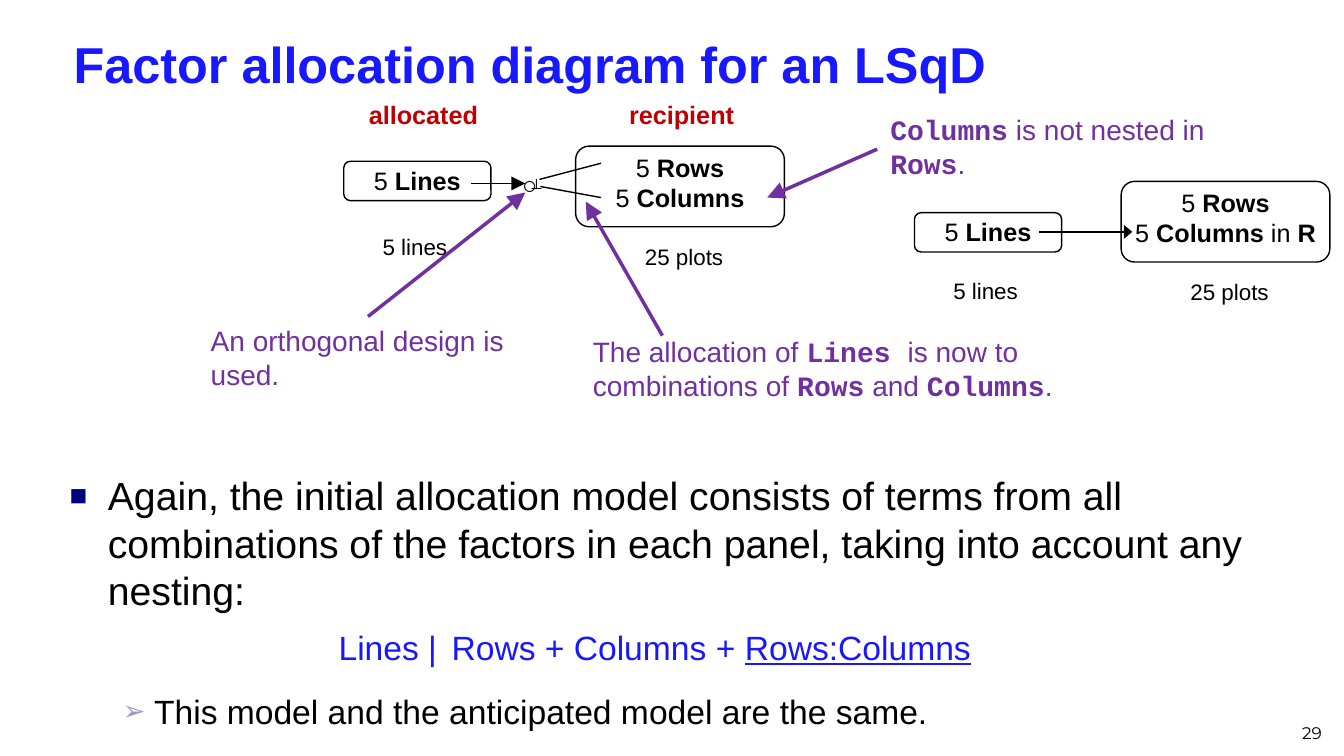
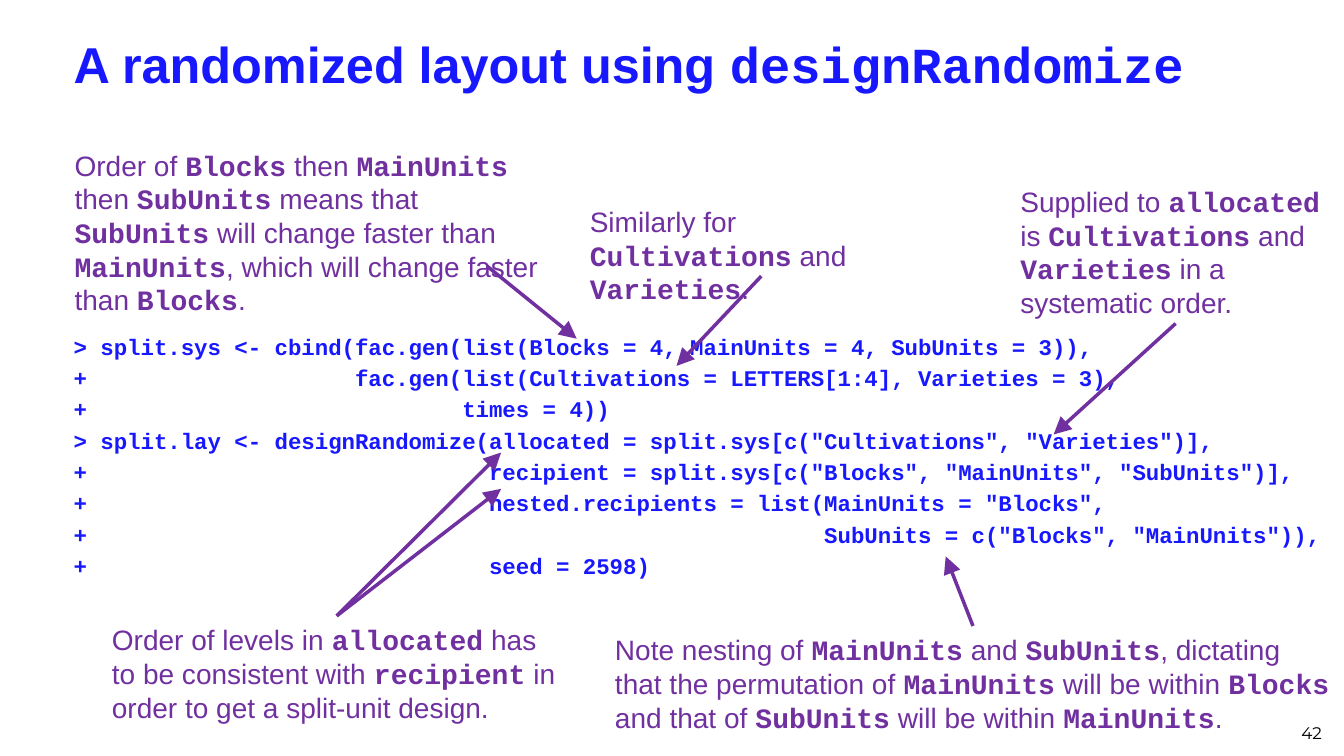
from lxml.etree import SubElement
from pptx import Presentation
from pptx.dml.color import RGBColor
from pptx.enum.shapes import MSO_CONNECTOR as Connector, MSO_SHAPE as Preset
from pptx.enum.text import MSO_ANCHOR as Anchor, MSO_AUTO_SIZE as AutoSize, PP_ALIGN as Align
from pptx.oxml.ns import qn
from pptx.util import Inches, Pt

COLORS = {"heading": "1818FF", "text": "000000", "note": "7030A0", "label": "C00000",
          "bullet": "00007D", "sub_bullet": "9999CC"}
SANS, MONO, NUMBER = "Arial", "Courier New", "Montserrat"
CODE_WORD = {"font": MONO, "bold": True}
BOLD_WORD = {"bold": True}
NOTE_INSETS = (0.13, 0.07)
PANEL_INSETS = (0.01, 0.02)
CODE_SIZE = 16


def add_run(paragraph, text, size, color="text", font=SANS, bold=False, underline=False):
    """Add one formatted run."""
    run = paragraph.add_run()
    run.text = text
    run.font.size = Pt(size)
    run.font.name = font
    run.font.bold = bold
    run.font.color.rgb = RGBColor.from_string(COLORS[color])
    if underline:
        run.font.underline = True


def add_runs(paragraph, text, emphasis=None, **style):
    """Add text whose backquoted parts take the emphasis style."""
    for index, part in enumerate(text.split("`")):
        if part:
            add_run(paragraph, part, **{**style, **(emphasis if index % 2 else {})})


def set_frame(shape, insets=(0.1, 0.05), anchor=Anchor.TOP, wrap=True):
    """Set the margins, anchor and wrapping of a shape's text."""
    frame = shape.text_frame
    frame.auto_size = AutoSize.NONE
    frame.word_wrap = wrap
    frame.vertical_anchor = anchor
    frame.margin_left = frame.margin_right = Inches(insets[0])
    frame.margin_top = frame.margin_bottom = Inches(insets[1])
    return frame


def place(shape, left, top, width, height):
    """Move a placeholder to a box."""
    shape.left, shape.top = Inches(left), Inches(top)
    shape.width, shape.height = Inches(width), Inches(height)
    return shape


def add_text(slide, box, text, size, align=Align.LEFT, emphasis=None,
             color="text", font=SANS, bold=False, **frame_style):
    """Add a one-paragraph text box and return its paragraph."""
    shape = slide.shapes.add_textbox(*map(Inches, box))
    paragraph = set_frame(shape, **frame_style).paragraphs[0]
    paragraph.alignment = align
    add_runs(paragraph, text, emphasis, size=size, color=color, font=font, bold=bold)
    return paragraph


def add_line(slide, start, end, color="text", width=1, head="lg"):
    """Draw a straight line, with an arrowhead of the given length unless it is None."""
    connector = slide.shapes.add_connector(
        Connector.STRAIGHT, *map(Inches, (*start, *end)))
    connector.line.color.rgb = RGBColor.from_string(COLORS[color])
    connector.line.width = Pt(width)
    properties = connector.element.spPr
    if head:
        SubElement(properties.find(qn("a:ln")), qn("a:tailEnd"),
                   {"type": "triangle", "w": "lg", "len": head})
    SubElement(properties, qn("a:effectLst"))


def set_indent(paragraph, margin=0, hanging=0):
    """Set the left margin and hanging indent; return the paragraph properties."""
    properties = paragraph._p.get_or_add_pPr()
    properties.set("marL", str(Inches(margin)))
    properties.set("indent", str(-Inches(hanging)))
    return properties


def set_bullet(paragraph, character, color, percent, margin, hanging):
    """Give a paragraph a coloured bullet."""
    properties = set_indent(paragraph, margin, hanging)
    SubElement(SubElement(properties, qn("a:buClr")), qn("a:srgbClr"), val=COLORS[color])
    SubElement(properties, qn("a:buSzPct"), val=str(percent * 1000))
    SubElement(properties, qn("a:buFont"), typeface=SANS)
    SubElement(properties, qn("a:buChar"), char=character)


def add_base(presentation, title, number):
    """Add a slide with its title and number; return it and its body placeholder."""
    slide = presentation.slides.add_slide(presentation.slide_layouts[1])
    heading = place(slide.shapes.title, 0.63, 0.23, 12.6, 0.79)
    paragraph = set_frame(heading, anchor=Anchor.MIDDLE).paragraphs[0]
    paragraph.alignment = Align.LEFT
    add_runs(paragraph, title, CODE_WORD, size=36, color="heading", bold=True)
    add_text(slide, (10.1, 6.92, 3.11, 0.5), number, 12, Align.RIGHT,
             font=NUMBER, anchor=Anchor.BOTTOM)
    return slide, slide.placeholders[1]


def add_note(slide, box, text, *arrows):
    """Add a purple remark and its arrows, each a start and an end point."""
    add_text(slide, box, text, 20, emphasis=CODE_WORD, color="note", insets=NOTE_INSETS)
    for start, end in arrows:
        add_line(slide, start, end, "note", 2.5)


def add_panel(slide, box, factors, caption, caption_box):
    """Add a rounded panel of factors; caption_box is relative to its corner."""
    left, top, width, height = box
    panel = slide.shapes.add_shape(Preset.ROUNDED_RECTANGLE, *map(Inches, box))
    panel.shadow.inherit = False
    panel.fill.background()
    panel.line.color.rgb = RGBColor.from_string(COLORS["text"])
    panel.line.width = Pt(1)
    frame = set_frame(panel, PANEL_INSETS)
    for index, factor in enumerate(factors):
        paragraph = frame.add_paragraph() if index else frame.paragraphs[0]
        paragraph.alignment = Align.CENTER
        add_runs(paragraph, factor, BOLD_WORD, size=18)
    shift, drop, caption_width = caption_box
    add_text(slide, (left + shift, top + drop, caption_width, 0.37),
             caption, 16, Align.CENTER)


def add_lines_panel(slide, left, top, drop):
    """Add the panel of the allocated factor."""
    add_panel(slide, (left, top, 1.46, 0.39), ["5 `Lines`"], "5 lines", (0.15, drop, 1.11))


def add_plots_panel(slide, left, top, columns):
    """Add the panel of the recipient factors."""
    add_panel(slide, (left, top, 2.07, 0.8), ["5 `Rows`", columns],
              "25 plots", (0.25, 0.91, 1.65))


def add_orthogonal_diagram(slide, left, top):
    """Draw the diagram with the orthogonal symbol between its panels."""
    for shift, width, label in ((0.06, 1.46, "allocated"), (2.71, 1.28, "recipient")):
        add_text(slide, (left + shift, top, width, 0.4), label, 18,
                 Align.CENTER, color="label", bold=True)
    add_lines_panel(slide, left, top + 0.66, 0.66)
    add_plots_panel(slide, left + 2.3, top + 0.51, "5 `Columns`")
    add_text(slide, (left + 1.67, top + 0.69, 0.42, 0.4), "○", 18, wrap=False)
    add_text(slide, (left + 1.73, top + 0.72, 0.31, 0.3), "⊥", 12)
    add_line(slide, (left + 1.26, top + 0.88), (left + 1.8, top + 0.88))
    add_line(slide, (left + 1.94, top + 0.84), (left + 2.55, top + 0.68), head=None)
    add_line(slide, (left + 1.95, top + 0.91), (left + 2.55, top + 1.02), head=None)


def add_nested_diagram(slide, left, top):
    """Draw the diagram in which columns are nested in rows."""
    add_plots_panel(slide, left + 2.05, top, "5 `Columns` in `R`")
    add_lines_panel(slide, left, top + 0.31, 0.59)
    add_line(slide, (left + 1.24, top + 0.5), (left + 2.16, top + 0.5), head="med")


def add_model(slide, left, top):
    """Write the allocation model and the remark below it."""
    add_text(slide, (left, top, 1.38, 0.5), "Lines |", 24, color="heading")
    add_text(slide, (left + 1.12, top, 6.49, 0.5), "Rows + Columns + `Rows:Columns`", 24,
             emphasis={"underline": True}, color="heading")
    remark = add_text(slide, (0.62, top + 0.64, 12.71, 0.53),
                      "This model and the anticipated model are the same.", 24)
    remark.level = 1
    remark.space_before = Pt(4.8)
    set_bullet(remark, "➢", "sub_bullet", 80, 0.81, 0.31)


def add_code(body, lines):
    """Fill the body with code; each line is a prompt, a start column and its text."""
    frame = set_frame(body)
    for index, (prompt, column, code) in enumerate(lines):
        paragraph = frame.add_paragraph() if index else frame.paragraphs[0]
        paragraph.level = 1
        paragraph.space_before = Pt(CODE_SIZE * 0.2)
        SubElement(set_indent(paragraph), qn("a:buNone"))
        add_run(paragraph, prompt.ljust(column) + code, CODE_SIZE, "heading", MONO, True)


def build_allocation_slide(presentation):
    """Build the slide with the factor allocation diagrams."""
    slide, body = add_base(presentation, "Factor allocation diagram for an LSqD", "29")
    paragraph = set_frame(place(body, 0.59, 4.63, 12.6, 1.57)).paragraphs[0]
    paragraph.space_before = Pt(5.6)
    set_bullet(paragraph, "■", "bullet", 75, 0.38, 0.38)
    add_run(paragraph, "Again, the initial allocation model consists of terms from all "
            "combinations of the factors in each panel, taking into account any nesting:", 28)
    add_orthogonal_diagram(slide, 3.41, 0.94)
    add_nested_diagram(slide, 9.07, 1.8)
    add_note(slide, (8.7, 1.05, 3.39, 0.86), "`Columns` is not nested in `Rows`.",
             ((8.7, 1.48), (7.61, 1.96)))
    add_note(slide, (5.75, 3.25, 5.02, 0.86),
             "The allocation of `Lines `is now to combinations of `Rows` and `Columns`.",
             ((6.57, 3.33), (5.81, 2)))
    add_note(slide, (1.96, 3.14, 3.39, 0.86), "An orthogonal design is used.",
             ((3.65, 3.14), (5.21, 1.91)))
    add_model(slide, 3.26, 6.17)


def build_layout_slide(presentation):
    """Build the slide with the annotated code."""
    slide, body = add_base(
        presentation, "A randomized layout using `designRandomize`", "42")
    add_code(place(body, 0.63, 3.25, 12.7, 2.7), [
        (">", 2, "split.sys <- cbind(fac.gen(list(Blocks = 4, MainUnits = 4, SubUnits = 3)),"),
        ("+", 21, "fac.gen(list(Cultivations = LETTERS[1:4], Varieties = 3),"),
        ("+", 29, "times = 4))"),
        (">", 2, "split.lay <- designRandomize("
                 'allocated = split.sys[c("Cultivations", "Varieties")],'),
        ("+", 31, 'recipient = split.sys[c("Blocks", "MainUnits", "SubUnits")],'),
        ("+", 31, 'nested.recipients = list(MainUnits = "Blocks",'),
        ("+", 56, 'SubUnits = c("Blocks", "MainUnits")),'),
        ("+", 31, "seed = 2598)"),
    ])
    add_note(slide, (0.61, 1.4, 5.08, 1.49),
             "Order of `Blocks` then `MainUnits` then `SubUnits` means that `SubUnits` will "
             "change faster than `MainUnits`, which will change faster than `Blocks`.",
             ((4.83, 2.64), (5.72, 3.36)))
    add_note(slide, (5.72, 1.96, 3.66, 0.78),
             "Similarly for `Cultivations` and `Varieties`.", ((7.55, 2.74), (6.71, 3.63)))
    add_note(slide, (9.99, 1.76, 3.34, 1.45),
             "Supplied to `allocated` is `Cultivations` and `Varieties` in a systematic order.",
             ((11.66, 3.21), (10.45, 4.31)))
    add_note(slide, (0.98, 6.11, 4.71, 1.13),
             "Order of levels in `allocated` has to be consistent with `recipient` in order "
             "to get a split-unit design.",
             ((3.34, 6.11), (4.97, 4.49)), ((3.34, 6.11), (4.97, 4.85)))
    add_note(slide, (5.97, 6.21, 7.36, 1.03),
             "Note nesting of `MainUnits` and `SubUnits`, dictating that the permutation of "
             "`MainUnits` will be within `Blocks` and that of `SubUnits` will be within "
             "`MainUnits`.", ((9.65, 6.21), (9.38, 5.52)))


def main():
    """Build and save the presentation."""
    presentation = Presentation()
    presentation.slide_width, presentation.slide_height = Inches(13.33), Inches(7.5)
    build_allocation_slide(presentation)
    build_layout_slide(presentation)
    presentation.save("out.pptx")


main()
